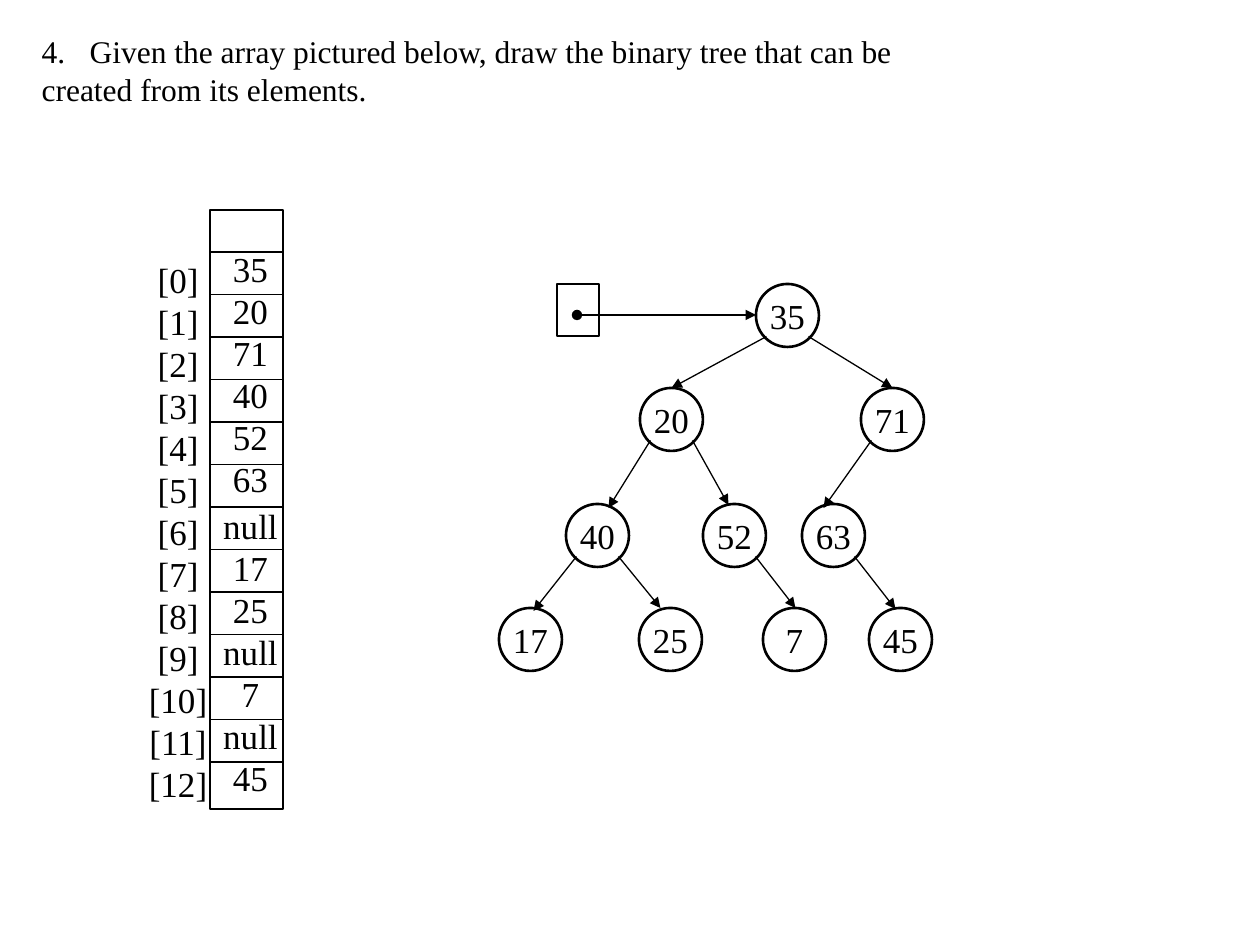
import pptx
import pptx.util
import pptx.dml.color
import pptx.enum.shapes
import pptx.enum.text
import pptx.oxml.ns
from lxml import etree

SCALE = 914400 // 126  # EMU in one px
FONT = "Times New Roman"
COLORS = {"ink": "000000"}
ALIGN = pptx.enum.text.PP_ALIGN
ANCHOR = pptx.enum.text.MSO_ANCHOR
SHAPE = pptx.enum.shapes.MSO_SHAPE

# Content
QUESTION = ["Given the array pictured below, draw the binary tree that can be",
            "created from its elements."]
QUESTION_NUMBER = 4
ARRAY = ["35", "20", "71", "40", "52", "63", "null", "17", "25", "null", "7", "null", "45"]
# value: (left, top, parent, side of the parent, offset of the arrow tip from the node's top)
TREE = {
    "35": (756, 284, None, 0, (0, 0)),
    "20": (640, 388, "35", -1, (0, 0)),
    "71": (861, 388, "35", 1, (0, 0)),
    "40": (566, 504, "20", -1, (11, 4)),
    "52": (703, 504, "20", 1, (-6, 1)),
    "63": (802, 504, "71", -1, (-10, 4)),
    "17": (499, 608, "40", -1, (3, 3)),
    "25": (639, 608, "40", 1, (-10, 0)),
    "7": (763, 608, "52", 1, (1, 0)),
    "45": (869, 608, "63", 1, (-5, 1)),
}

# Layout in px
NODE = 63
BRANCH = 21  # from a node's centre to where its arrows start
ARRAY_LEFT, ARRAY_TOP, ARRAY_WIDTH, ARRAY_HEIGHT = 210, 210, 73, 599
FIRST_RULE, ROW = 252, 42.5
ROOT_BOX = (557, 284, 42, 52)
ROOT_DOT = (577, 315)


def px(*lengths):
    return [pptx.util.Emu(round(length * SCALE)) for length in lengths]


def ink():
    return pptx.dml.color.RGBColor.from_string(COLORS["ink"])


def write(frame, lines, size, align=ALIGN.CENTER):
    frame.word_wrap = False
    for i, line in enumerate(lines):
        paragraph = frame.paragraphs[0] if i == 0 else frame.add_paragraph()
        paragraph.alignment = align
        paragraph.line_spacing = pptx.util.Pt(1.2 * size)
        run = paragraph.add_run()
        run.text = line
        run.font.name = FONT
        run.font.size = pptx.util.Pt(size)
        run.font.color.rgb = ink()


def add_outline(slide, kind, box, weight):
    outline = slide.shapes.add_shape(kind, *px(*box))
    outline.shadow.inherit = False
    outline.fill.background()
    outline.line.color.rgb = ink()
    outline.line.width = pptx.util.Pt(weight)
    return outline


def add_line(slide, start, end, **ends):
    line = slide.shapes.add_connector(
        pptx.enum.shapes.MSO_CONNECTOR.STRAIGHT, *px(*start, *end))
    line.line.color.rgb = ink()
    line.line.width = pptx.util.Pt(0.75)
    stroke = line.line._get_or_add_ln()
    for tag in ("headEnd", "tailEnd"):
        if tag in ends:
            etree.SubElement(stroke, pptx.oxml.ns.qn("a:" + tag), type=ends[tag])
    etree.SubElement(line._element.spPr, pptx.oxml.ns.qn("a:effectLst"))


def add_column(slide, box, lines):
    column = slide.shapes.add_textbox(*px(*box))
    write(column.text_frame, lines, 20)
    return column.text_frame


def add_question(slide):
    question = slide.shapes.title
    question.left, question.top, question.width, question.height = px(29, 26, 885, 90)
    frame = question.text_frame
    frame.vertical_anchor = ANCHOR.TOP
    frame.auto_size = pptx.enum.text.MSO_AUTO_SIZE.NONE
    write(frame, QUESTION, 18, ALIGN.LEFT)
    properties = frame.paragraphs[0]._p.get_or_add_pPr()
    indent = px(48)[0]
    properties.set("marL", str(indent))
    properties.set("indent", str(-indent))
    etree.SubElement(properties, pptx.oxml.ns.qn("a:buFont"), typeface=FONT)
    etree.SubElement(properties, pptx.oxml.ns.qn("a:buAutoNum"),
                     type="arabicPeriod", startAt=str(QUESTION_NUMBER))


def add_array(slide):
    add_outline(slide, SHAPE.RECTANGLE,
                (ARRAY_LEFT, ARRAY_TOP, ARRAY_WIDTH, ARRAY_HEIGHT), 0.75)
    for i in range(len(ARRAY)):
        y = FIRST_RULE + i * ROW
        add_line(slide, (ARRAY_LEFT, y), (ARRAY_LEFT + ARRAY_WIDTH, y))
    add_column(slide, (136, 252, 84, 564), [f"[{i}]" for i in range(len(ARRAY))])
    values = add_column(slide, (210, 241, 81, 564), ARRAY)
    values.paragraphs[ARRAY.index("null")].space_before = pptx.util.Pt(3)


def add_tree(slide):
    # Reference to the root
    add_outline(slide, SHAPE.RECTANGLE, ROOT_BOX, 0.75)
    add_line(slide, ROOT_DOT, (TREE["35"][0], ROOT_DOT[1]),
             headEnd="oval", tailEnd="triangle")
    # Nodes, each with the arrow from its parent
    for value, (left, top, parent, side, (dx, dy)) in TREE.items():
        node = add_outline(slide, SHAPE.OVAL, (left, top, NODE, NODE), 1.5)
        node.text_frame.vertical_anchor = ANCHOR.MIDDLE
        write(node.text_frame, [value], 20)
        if parent:
            parent_left, parent_top = TREE[parent][:2]
            start = (parent_left + NODE / 2 + side * BRANCH, parent_top + NODE / 2 + BRANCH)
            add_line(slide, start, (left + NODE / 2 + dx, top + dy), tailEnd="triangle")


def main():
    deck = pptx.Presentation()
    deck.slide_width, deck.slide_height = px(1260, 945)
    slide = deck.slides.add_slide(deck.slide_layouts.get_by_name("Title Only"))
    add_question(slide)
    add_array(slide)
    add_tree(slide)
    deck.save("out.pptx")


if __name__ == "__main__":
    main()
